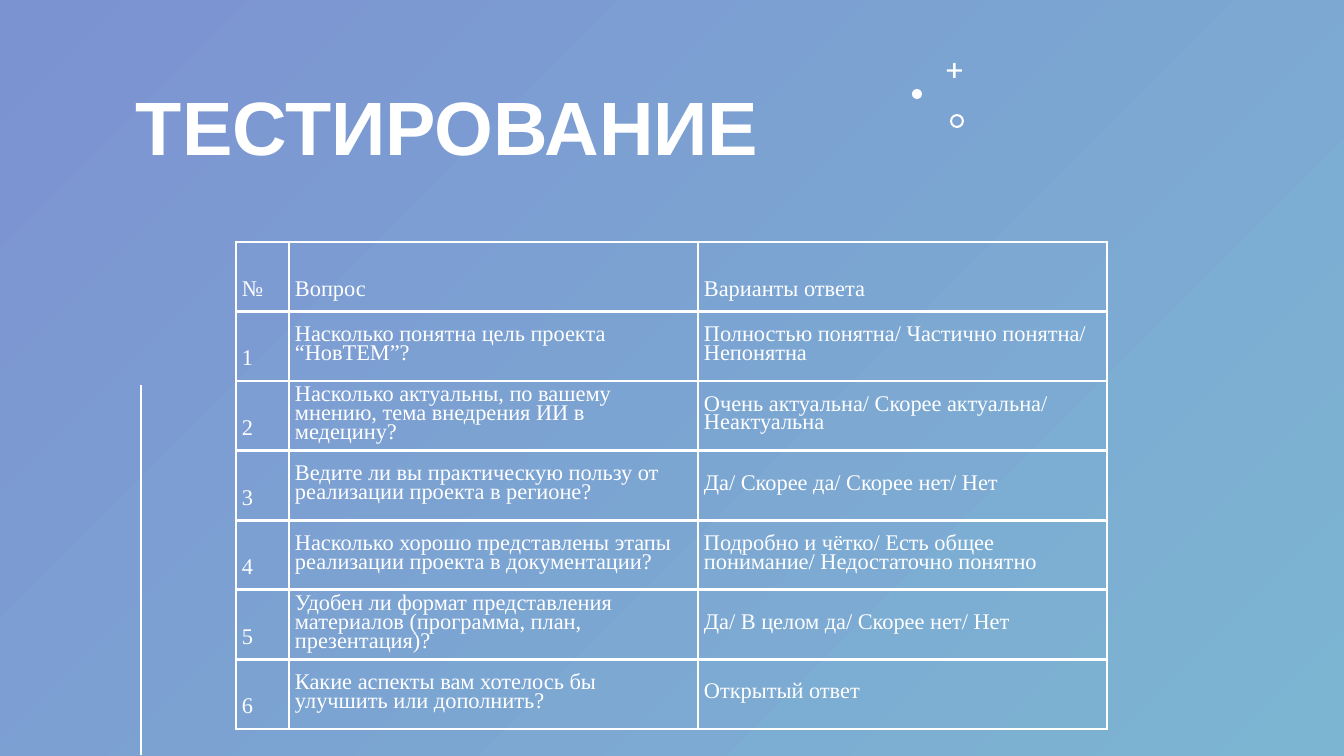
from dataclasses import dataclass

from lxml.etree import SubElement
from pptx import Presentation
from pptx.dml.color import RGBColor
from pptx.enum.shapes import MSO_CONNECTOR, MSO_SHAPE
from pptx.enum.text import MSO_ANCHOR
from pptx.oxml.ns import qn
from pptx.util import Pt

SLIDE_WIDTH, SLIDE_HEIGHT = 1344, 756
EMU_PER_PX = 12192000 / SLIDE_WIDTH


@dataclass(frozen=True)
class Theme:
    white: str = "FFFFFF"
    gradient: tuple = ("7C93D2", "7CB5D2")
    title_font: str = "Arial"
    table_font: str = "Times New Roman"
    title_size: float = 54
    table_size: float = 16
    table_leading: float = 13.5
    border_width: float = 2.25
    accent_width: float = 2


THEME = Theme()

HEADER = ("№", "Вопрос", "Варианты ответа")
QUESTIONS = (
    ("Насколько понятна цель проекта “НовТЕМ”?",
     "Полностью понятна/ Частично понятна/ Непонятна"),
    ("Насколько актуальны, по вашему мнению, тема внедрения ИИ в медецину?",
     "Очень актуальна/ Скорее актуальна/ Неактуальна"),
    ("Ведите ли вы практическую пользу от реализации проекта в регионе?",
     "Да/ Скорее да/ Скорее нет/ Нет"),
    ("Насколько хорошо представлены этапы реализации проекта в документации?",
     "Подробно и чётко/ Есть общее понимание/ Недостаточно понятно"),
    ("Удобен ли формат представления материалов (программа, план, презентация)?",
     "Да/ В целом да/ Скорее нет/ Нет"),
    ("Какие аспекты вам хотелось бы улучшить или дополнить?",
     "Открытый ответ"),
)
COLUMN_WIDTHS = (53, 409, 409)
TABLE_HEIGHT = 487
CELL_MARGIN = 5
LOWERED_MARGIN = 35


def px(length):
    return round(length * EMU_PER_PX)


def colour(value):
    return RGBColor.from_string(value)


def paint_background(page):
    fill = page.background.fill
    fill.gradient()
    fill.gradient_angle = 315
    for stop, value in zip(fill.gradient_stops, THEME.gradient):
        stop.color.rgb = colour(value)


def write_text(frame, text, font, size, leading, bold=False):
    frame.text = text
    frame.word_wrap = True
    para = frame.paragraphs[0]
    para.line_spacing = Pt(leading)
    span = para.runs[0]
    span.font.name = font
    span.font.size = Pt(size)
    span.font.bold = bold
    span.font.color.rgb = colour(THEME.white)


def add_title(page, text, left, top, width, height):
    box = page.shapes.add_textbox(px(left), px(top), px(width), px(height))
    frame = box.text_frame
    frame.margin_left = frame.margin_right = 0
    frame.margin_top = frame.margin_bottom = 0
    frame.vertical_anchor = MSO_ANCHOR.BOTTOM
    write_text(frame, text, THEME.title_font, THEME.title_size,
               THEME.title_size, bold=True)


def add_accent_line(page, left, top, bottom):
    line = page.shapes.add_connector(
        MSO_CONNECTOR.STRAIGHT, px(left), px(top), px(left), px(bottom))
    line.line.color.rgb = colour(THEME.white)
    line.line.width = Pt(THEME.accent_width)
    SubElement(line._element.spPr, qn("a:effectLst"))


def add_ornament(page, kind, left, top, size, adjustment=None):
    shape = page.shapes.add_shape(kind, px(left), px(top), px(size), px(size))
    shape.shadow.inherit = False
    shape.fill.solid()
    shape.fill.fore_color.rgb = colour(THEME.white)
    shape.line.fill.background()
    if adjustment is not None:
        shape.adjustments[0] = adjustment


def add_borders(cell):
    properties = cell._tc.get_or_add_tcPr()
    for side in ("lnL", "lnR", "lnT", "lnB"):
        border = SubElement(properties, qn(f"a:{side}"),
                            w=str(Pt(THEME.border_width)))
        fill = SubElement(border, qn("a:solidFill"))
        SubElement(fill, qn("a:srgbClr"), val=THEME.white)


def fill_cell(cell, text, lowered):
    cell.margin_left = cell.margin_right = px(CELL_MARGIN + 1)
    cell.margin_top = px(LOWERED_MARGIN if lowered else CELL_MARGIN)
    cell.margin_bottom = px(CELL_MARGIN)
    cell.vertical_anchor = MSO_ANCHOR.MIDDLE
    add_borders(cell)
    cell.fill.background()
    write_text(cell.text_frame, text, THEME.table_font, THEME.table_size,
               THEME.table_leading)


def add_survey_table(page, left, top):
    rows = [HEADER] + [(str(number), *question)
                       for number, question in enumerate(QUESTIONS, 1)]
    table = page.shapes.add_table(
        len(rows), len(HEADER), px(left), px(top),
        px(sum(COLUMN_WIDTHS)), px(TABLE_HEIGHT)).table
    table.first_row = False
    table.horz_banding = False
    for column, width in zip(table.columns, COLUMN_WIDTHS):
        column.width = px(width)
    for row_index, texts in enumerate(rows):
        table.rows[row_index].height = px(TABLE_HEIGHT / len(rows))
        for column_index, text in enumerate(texts):
            lowered = row_index == 0 or column_index == 0
            fill_cell(table.cell(row_index, column_index), text, lowered)


def main():
    deck = Presentation()
    deck.slide_width = px(SLIDE_WIDTH)
    deck.slide_height = px(SLIDE_HEIGHT)
    page = deck.slides.add_slide(deck.slide_layouts[6])
    paint_background(page)
    add_accent_line(page, 141, 385, 755)
    add_ornament(page, MSO_SHAPE.OVAL, 912, 89, 10)
    add_ornament(page, MSO_SHAPE.CROSS, 947, 63, 15, 0.42)
    add_ornament(page, MSO_SHAPE.DONUT, 950, 114, 14, 0.15)
    add_title(page, "ТЕСТИРОВАНИЕ", 136, 94, 772, 77)
    add_survey_table(page, 236, 242)
    deck.save("out.pptx")


if __name__ == "__main__":
    main()
